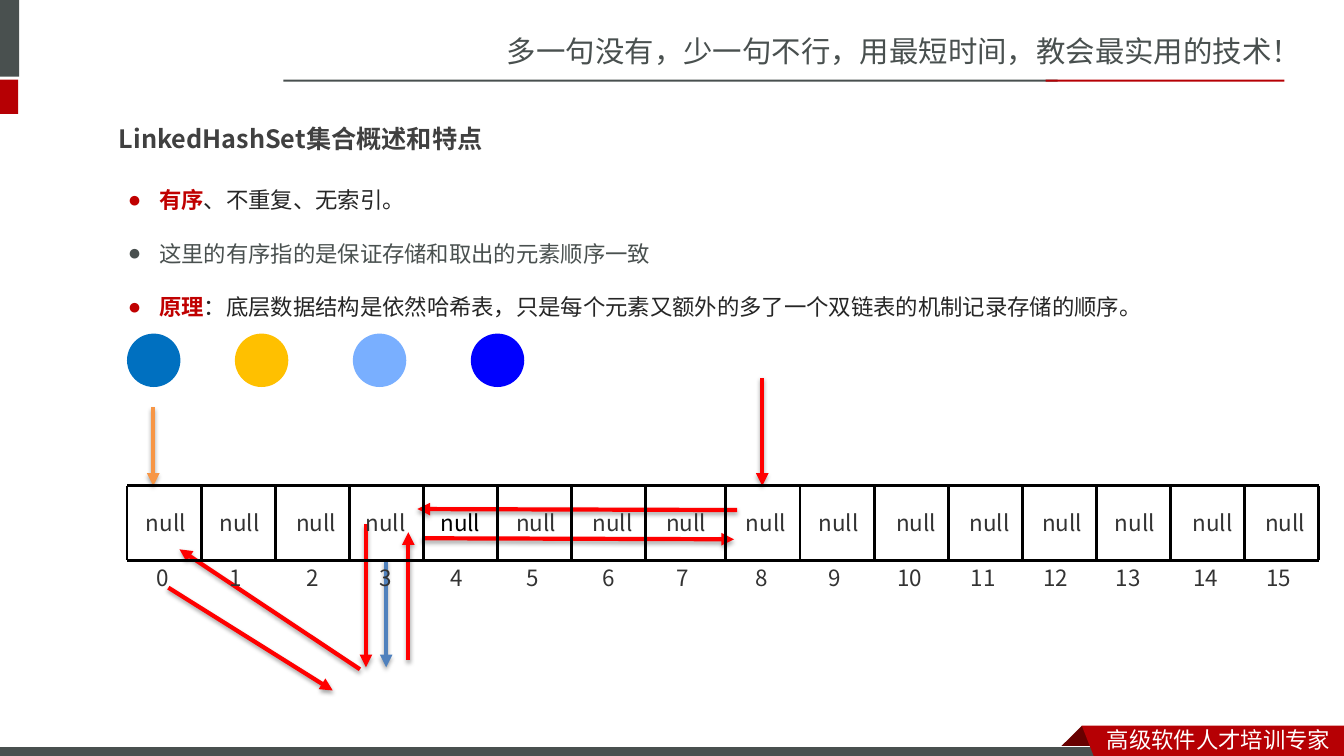
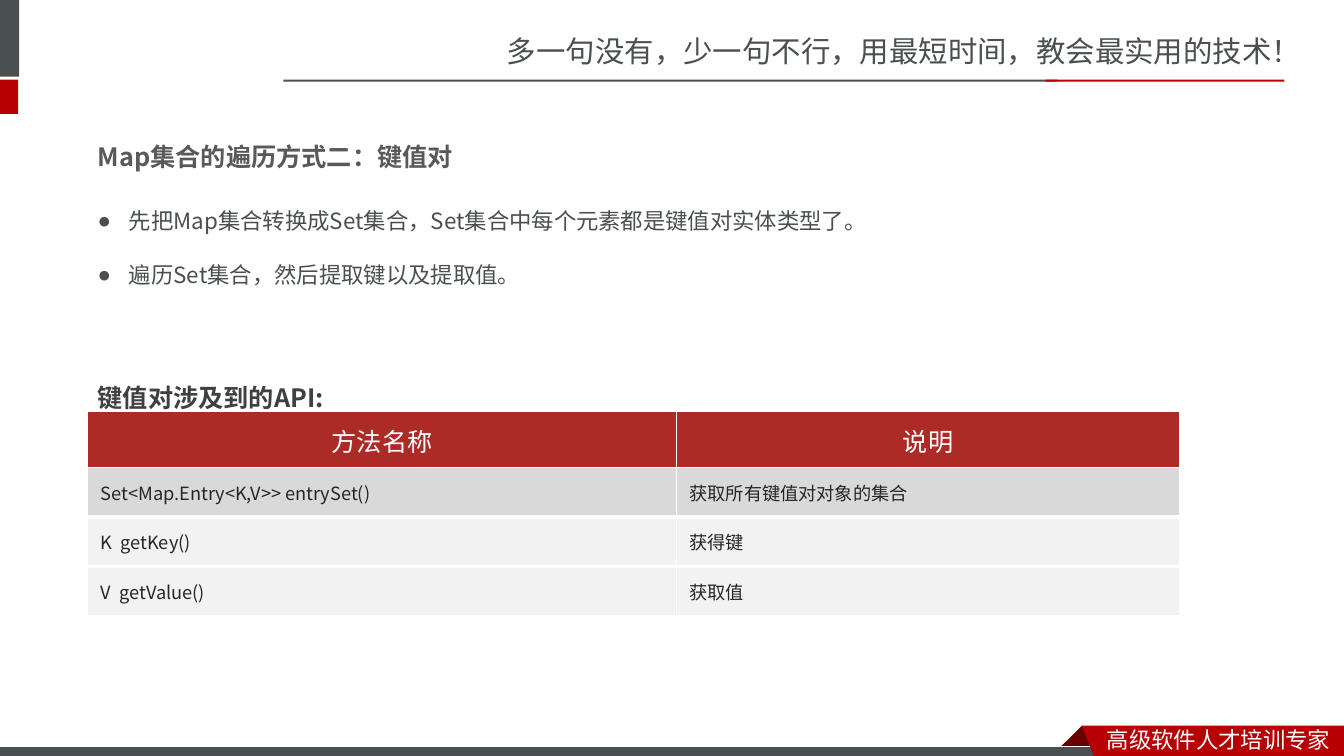
from lxml.etree import SubElement
from pptx import Presentation
from pptx.dml.color import RGBColor
from pptx.enum.shapes import MSO_CONNECTOR, MSO_SHAPE
from pptx.enum.text import MSO_ANCHOR, MSO_AUTO_SIZE, PP_ALIGN
from pptx.oxml.ns import qn
from pptx.util import Inches, Pt

SLATE = RGBColor(0x49, 0x50, 0x4F)
RED = RGBColor(0xB6, 0x00, 0x04)
DARK_RED = RGBColor(0x68, 0x00, 0x00)
ACCENT_RED = RGBColor(0xC0, 0x00, 0x00)
ARROW_RED = RGBColor(0xFF, 0x00, 0x00)
ARROW_BLUE = RGBColor(0x4F, 0x81, 0xBD)
ARROW_ORANGE = RGBColor(0xF7, 0x96, 0x46)
TABLE_RED = RGBColor(0xAD, 0x2B, 0x26)
ROW_GREY = RGBColor(0xD9, 0xD9, 0xD9)
ROW_LIGHT = RGBColor(0xF2, 0xF2, 0xF2)
HEADING = RGBColor(0x40, 0x40, 0x40)
HEADING_LIGHT = RGBColor(0x59, 0x59, 0x59)
BODY = RGBColor(0x26, 0x26, 0x26)
LABEL = RGBColor(0x33, 0x33, 0x33)
BLACK = RGBColor(0x00, 0x00, 0x00)
WHITE = RGBColor(0xFF, 0xFF, 0xFF)
BALL_BLUE = RGBColor(0x00, 0x70, 0xC0)
BALL_GOLD = RGBColor(0xFF, 0xC0, 0x00)
BALL_SKY = RGBColor(0x79, 0xAF, 0xFF)
BALL_DEEP = RGBColor(0x00, 0x00, 0xFF)

SANS = "Noto Sans CJK SC"
SANS_JP = "Noto Sans CJK JP"
TAGLINE_FONT = {"name": SANS, "size": Pt(21), "color": SLATE}
BADGE_FONT = {"name": SANS, "size": Pt(16), "color": WHITE}
HEADING_FONT = {"name": SANS_JP, "size": Pt(18), "bold": True, "color": HEADING}
TITLE_LIGHT_FONT = {**HEADING_FONT, "color": HEADING_LIGHT}
BULLET_FONT = {"name": SANS_JP, "size": Pt(16), "bold": False, "color": SLATE}
BULLET_BODY = {**BULLET_FONT, "color": BODY}
BULLET_ACCENT = {**BULLET_FONT, "bold": True, "color": ACCENT_RED}
LABEL_FONT = {"name": SANS, "size": Pt(16), "color": LABEL}
TABLE_HEAD_FONT = {"name": "Arial", "size": Pt(18), "bold": False, "color": WHITE}
TABLE_BODY_FONT = {"name": SANS, "size": Pt(13), "bold": False, "color": BODY}

LEFT = {"alignment": PP_ALIGN.LEFT}
DOUBLE_SPACED = {**LEFT, "line_spacing": 2.0}
TABLE_HEAD_PARAGRAPH = {"alignment": PP_ALIGN.CENTER, "line_spacing": Pt(24)}


def inches(values):
    """Convert a sequence of numbers to lengths."""
    return [Inches(value) for value in values]


def apply_format(target, values):
    """Set every named attribute of the target."""
    for name, value in values.items():
        setattr(target, name, value)


def write_paragraph(paragraph, runs, paragraph_format):
    """Fill a paragraph with formatted runs."""
    apply_format(paragraph, paragraph_format)
    for text, font_format in runs:
        run = paragraph.add_run()
        run.text = text
        for name, value in font_format.items():
            if name == "color":
                run.font.color.rgb = value
            else:
                setattr(run.font, name, value)
        east_asian = SubElement(run.font._element, qn("a:ea"))
        east_asian.set("typeface", font_format["name"])


def fill_frame(shape, paragraphs, paragraph_format, anchor=MSO_ANCHOR.TOP, wrap=True):
    """Write paragraphs into the text frame of a shape."""
    frame = shape.text_frame
    apply_format(frame, {"word_wrap": wrap, "vertical_anchor": anchor,
                         "auto_size": MSO_AUTO_SIZE.SHAPE_TO_FIT_TEXT})
    for index, runs in enumerate(paragraphs):
        paragraph = frame.add_paragraph() if index else frame.paragraphs[0]
        write_paragraph(paragraph, runs, paragraph_format)


def add_text(slide, box, text, font_format, paragraph_format=LEFT, wrap=True):
    """Add a text box with a single run."""
    shape = slide.shapes.add_textbox(*inches(box))
    fill_frame(shape, [[(text, font_format)]], paragraph_format, wrap=wrap)


def paint(shape, color, outline=None):
    """Give a shape a flat fill and an optional thin outline."""
    shape.shadow.inherit = False
    shape.fill.solid()
    shape.fill.fore_color.rgb = color
    if outline is None:
        shape.line.fill.background()
    else:
        shape.line.color.rgb = outline
        shape.line.width = Pt(0.75)


def add_preset(slide, kind, box, color, outline=None):
    """Add a painted preset shape."""
    shape = slide.shapes.add_shape(kind, *inches(box))
    paint(shape, color, outline)
    return shape


def add_outline(slide, points, color):
    """Add a painted closed polygon."""
    first, *others = [tuple(inches(point)) for point in points]
    builder = slide.shapes.build_freeform(*first, scale=1.0)
    builder.add_line_segments(others, close=True)
    paint(builder.convert_to_shape(), color)


def add_line(slide, start, end, color, width):
    """Add a straight connector and return it with its empty effect list."""
    connector = slide.shapes.add_connector(
        MSO_CONNECTOR.STRAIGHT, *inches(start), *inches(end))
    connector.line.color.rgb = color
    connector.line.width = Pt(width)
    effects = SubElement(connector._element.spPr, qn("a:effectLst"))
    return connector, effects


def add_arrow(slide, start, end, color=ARROW_RED):
    """Add an arrow with a soft shadow below it."""
    connector, effects = add_line(slide, start, end, color, 3)
    SubElement(connector.line._get_or_add_ln(), qn("a:tailEnd")).set("type", "triangle")
    shadow = SubElement(effects, qn("a:outerShdw"), blurRad="40000", dist="23000",
                        dir="5400000", rotWithShape="0")
    shadow_color = SubElement(shadow, qn("a:srgbClr"), val="000000")
    SubElement(shadow_color, qn("a:alpha"), val="35000")


def add_bullets(shape, paragraphs, anchor=MSO_ANCHOR.TOP):
    """Write a double-spaced bullet list into a shape."""
    fill_frame(shape, paragraphs, DOUBLE_SPACED, anchor)
    for paragraph in shape.text_frame.paragraphs:
        properties = paragraph._p.get_or_add_pPr()
        properties.set("marL", str(Inches(0.31)))
        properties.set("indent", str(-Inches(0.31)))
        SubElement(properties, qn("a:buFont")).set("typeface", "Arial")
        SubElement(properties, qn("a:buChar")).set("char", "●")


def add_frame(slide):
    """Draw the header, side marks and footer ribbon."""
    add_text(slide, (4.93, 0.28, 8.41, 0.47),
             "多一句没有，少一句不行，用最短时间，教会最实用的技术！", TAGLINE_FONT)
    for box, color in (((-0.06, 0, 0.25, 0.76), SLATE),
                       ((-0.06, 0.79, 0.24, 0.34), RED),
                       ((2.81, 0.79, 7.68, 0.02), SLATE),
                       ((10.37, 0.79, 2.37, 0.02), RED)):
        add_preset(slide, MSO_SHAPE.RECTANGLE, box, color)
    add_outline(slide, [(10.73, 7.2), (10.95, 7.42), (10.94, 7.43),
                        (10.52, 7.43), (10.51, 7.42)], DARK_RED)
    add_preset(slide, MSO_SHAPE.RECTANGLE, (-0.01, 7.41, 11, 0.12), SLATE, WHITE)
    add_outline(slide, [(10.73, 7.2), (13.33, 7.2), (13.33, 7.54), (10.86, 7.53)], RED)
    add_text(slide, (10.88, 7.15, 2.45, 0.37), "高级软件人才培训专家", BADGE_FONT)


def add_framed_slide(presentation, box, title, font_format, line_spacing):
    """Add a title-only slide with the shared frame and a placed title."""
    slide = presentation.slides.add_slide(presentation.slide_layouts[5])
    placeholder = slide.shapes.title
    apply_format(placeholder, dict(zip(("left", "top", "width", "height"), inches(box))))
    fill_frame(placeholder, [[(title, font_format)]],
               {**LEFT, "line_spacing": line_spacing})
    add_frame(slide)
    return slide


def add_balls(slide, left, top):
    """Draw the four coloured elements."""
    for offset, color in ((0, BALL_BLUE), (1.07, BALL_GOLD),
                          (2.24, BALL_SKY), (3.41, BALL_DEEP)):
        add_preset(slide, MSO_SHAPE.OVAL, (left + offset, top, 0.53, 0.53), color)


def add_hash_array(slide, left, top):
    """Draw the sixteen numbered buckets, the second half set slightly apart."""
    count, pitch, height, half_shift = 16, 0.735, 0.74, 0.06
    label_offsets = (0.09, 0.82, 1.58, 2.31, 3.01, 3.76, 4.52, 5.25,
                     6.04, 6.76, 7.53, 8.26, 8.98, 9.7, 10.47, 11.19)
    edges = [left + pitch * index + (half_shift if index >= count // 2 else 0)
             for index in range(count + 1)]
    for y in (top, top + height):
        add_line(slide, (edges[0], y), (edges[-1], y), BLACK, 2)
    for edge in edges:
        add_line(slide, (edge, top), (edge, top + height), BLACK, 2)
    for index, offset in enumerate(label_offsets):
        label_left = left + offset
        font_format = {**LABEL_FONT, "color": BLACK} if index == 4 else LABEL_FONT
        nudge = 0.04 if index == 3 else 0
        add_text(slide, (label_left - nudge, top + 0.18, 0.6, 0.37), "null",
                 font_format, wrap=False)
        indent, width = (0.1, 0.33) if index < 10 else (0.01, 0.46)
        add_text(slide, (label_left + indent, top + 0.73, width, 0.37),
                 str(index), LABEL_FONT, wrap=False)


def add_links(slide):
    """Draw the insert arrows and the two-way links between elements."""
    add_arrow(slide, (3.83, 5.56), (3.83, 6.62), ARROW_BLUE)
    add_arrow(slide, (1.52, 4.04), (1.52, 4.82), ARROW_ORANGE)
    for start, end in (((7.31, 5.06), (4.14, 5.05)),
                       ((4.19, 5.34), (7.28, 5.35)),
                       ((7.56, 3.75), (7.56, 4.82)),
                       ((3.63, 5.2), (3.63, 6.62)),
                       ((3.57, 6.64), (1.78, 5.45)),
                       ((4.05, 6.55), (4.05, 5.28)),
                       ((1.67, 5.83), (3.3, 6.85))):
        add_arrow(slide, start, end)


def set_borders(cell, top, bottom):
    """Give a cell white borders, with widths in points."""
    properties = cell._tc.get_or_add_tcPr()
    for side, width in {"L": 1, "R": 1, "T": top, "B": bottom}.items():
        line = SubElement(properties, qn(f"a:ln{side}"), w=str(Pt(width)))
        fill = SubElement(line, qn("a:solidFill"))
        SubElement(fill, qn("a:srgbClr"), val=str(WHITE))


def add_method_table(slide, left, top, rows, row_height, color, borders, header=False):
    """Add one two-column part of the method overview."""
    widths = (5.84, 4.99)
    table = slide.shapes.add_table(len(rows), len(widths), *inches(
        (left, top, sum(widths), row_height * len(rows)))).table
    apply_format(table, {"first_row": header, "horz_banding": False})
    for column, width in zip(table.columns, widths):
        column.width = Inches(width)
    horizontal, vertical = inches((0.1, 0.05) if header else (0.13, 0.07))
    for row, texts, border in zip(table.rows, rows, borders):
        row.height = Inches(row_height)
        for cell, text in zip(row.cells, texts):
            set_borders(cell, *border)
            cell.fill.solid()
            cell.fill.fore_color.rgb = color
            apply_format(cell, {"vertical_anchor": MSO_ANCHOR.MIDDLE,
                                "margin_left": horizontal, "margin_right": horizontal,
                                "margin_top": vertical, "margin_bottom": vertical})
            write_paragraph(cell.text_frame.paragraphs[0],
                            [(text, TABLE_HEAD_FONT if header else TABLE_BODY_FONT)],
                            TABLE_HEAD_PARAGRAPH if header else LEFT)


def build_linked_hash_set(presentation):
    """Build the slide on LinkedHashSet."""
    slide = add_framed_slide(presentation, (1.08, 1.02, 8.38, 0.51),
                             "LinkedHashSet集合概述和特点", HEADING_FONT, 1.5)
    bullets = slide.shapes.add_textbox(*inches((1.17, 1.53, 10.92, 2.18)))
    add_bullets(bullets, [
        [("有序", BULLET_ACCENT), ("、不重复、无索引。", BULLET_BODY)],
        [("这里的有序指的是保证存储和取出的元素顺序一致", BULLET_FONT)],
        [("原理", BULLET_ACCENT),
         ("：底层数据结构是依然哈希表，只是每个元素又额外的多了一个双链表的机制记录存储的顺序。",
          BULLET_BODY)]])
    add_links(slide)
    add_hash_array(slide, 1.26, 4.82)
    add_balls(slide, 1.26, 3.31)


def build_map_traversal(presentation):
    """Build the slide on walking a Map by its entries."""
    slide = add_framed_slide(presentation, (0.87, 1.05, 6.66, 0.63),
                             "Map集合的遍历方式二：键值对", TITLE_LIGHT_FONT, 2.0)
    add_text(slide, (0.87, 3.44, 5.12, 0.63), "键值对涉及到的API:",
             HEADING_FONT, DOUBLE_SPACED)
    add_method_table(slide, 0.87, 4.08, [("方法名称", "说明")], 0.57, TABLE_RED,
                     [(1, 3)], header=True)
    add_method_table(slide, 0.87, 4.64,
                     [("Set<Map.Entry<K,V>> entrySet()", "获取所有键值对对象的集合")],
                     0.49, ROW_GREY, [(1, 1)])
    add_method_table(slide, 0.87, 5.13,
                     [("K  getKey()", "获得键"), ("V  getValue()", "获取值")],
                     0.49, ROW_LIGHT, [(3, 3), (3, 1)])
    panel = add_preset(slide, MSO_SHAPE.RECTANGLE, (0.87, 1.77, 10.39, 1.11), WHITE)
    add_bullets(panel, [
        [("先把Map集合转换成Set集合，Set集合中每个元素都是键值对实体类型了。", BULLET_FONT)],
        [("遍历Set集合，然后提取键以及提取值。", BULLET_FONT)]], MSO_ANCHOR.MIDDLE)


def main():
    """Build and save the presentation."""
    presentation = Presentation()
    apply_format(presentation, {"slide_width": Inches(13.33), "slide_height": Inches(7.5)})
    build_linked_hash_set(presentation)
    build_map_traversal(presentation)
    presentation.save("out.pptx")


if __name__ == "__main__":
    main()
